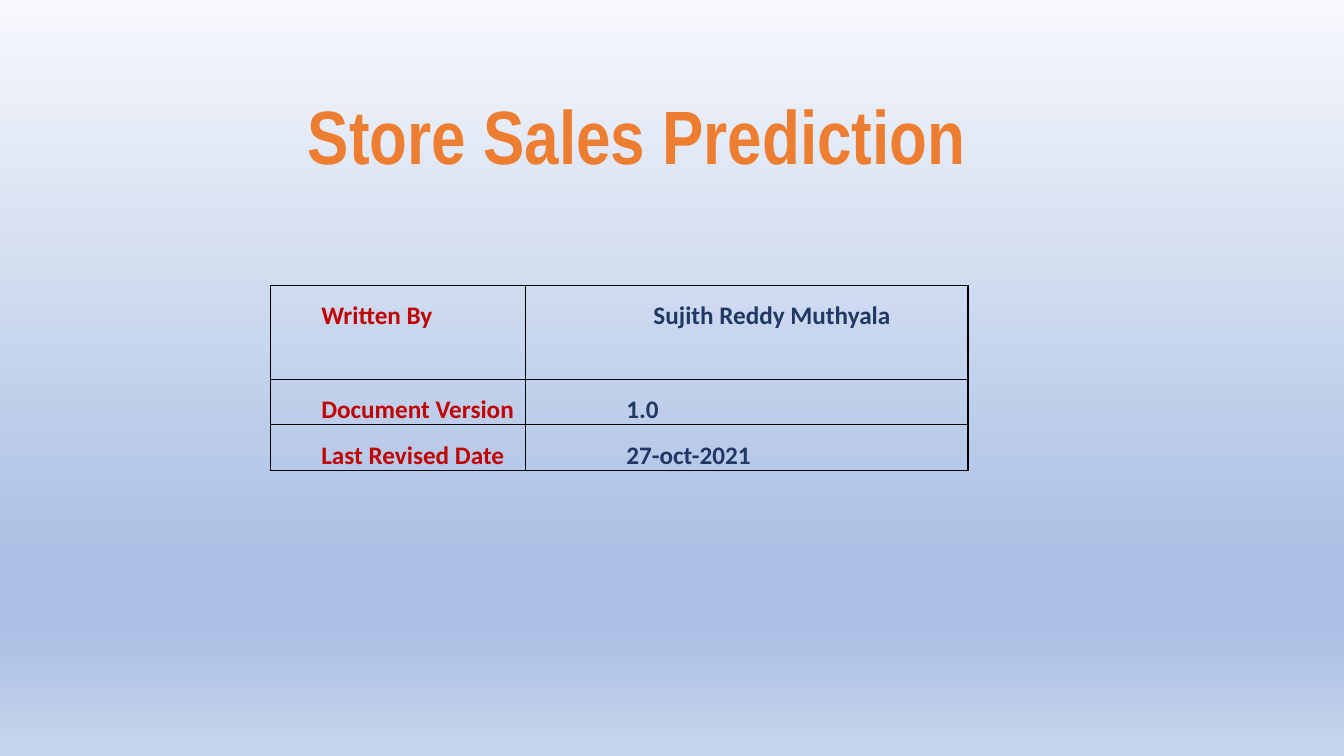
"""Build the Store Sales Prediction cover slide."""
from dataclasses import dataclass

from lxml.etree import SubElement
from pptx import Presentation
from pptx.dml.color import RGBColor
from pptx.enum.text import MSO_ANCHOR, PP_ALIGN
from pptx.oxml.ns import qn
from pptx.util import Pt


@dataclass(frozen=True)
class Theme:
    title: str = "ED7D31"
    label: str = "C00000"
    value: str = "203864"
    border: str = "000000"
    wash: tuple = ((0, "F6F8FC"), (74, "ABC0E4"), (83, "ABC0E4"), (100, "C7D5ED"))
    head: int = 54
    body: int = 18


def apply(target, values):
    for name, value in values.items():
        setattr(target, name, value)


def write(frame, text, font, size, color, layout):
    para = frame.paragraphs[0]
    apply(para, layout)
    run = para.add_run()
    run.text = text
    apply(run.font, {"name": font, "size": Pt(size), "bold": True})
    run.font.color.rgb = RGBColor.from_string(color)
    return para


theme = Theme()
deck = Presentation()
apply(deck, {"slide_width": Pt(960), "slide_height": Pt(540)})
slide = deck.slides.add_slide(deck.slide_layouts[6])

fill = slide.background.fill
fill.gradient()
fill.gradient_angle = 270
stops = slide.element.find(".//" + qn("a:gsLst"))
stops.clear()
for place, color in theme.wash:
    stop = SubElement(stops, qn("a:gs"), pos=str(place * 1000))
    SubElement(stop, qn("a:srgbClr"), val=color)

title = slide.shapes.add_textbox(Pt(95), Pt(62.5), Pt(720), Pt(70)).text_frame
apply(title, {"word_wrap": True, "vertical_anchor": MSO_ANCHOR.BOTTOM})
write(title, "Store Sales Prediction", "Arial Narrow", theme.head, theme.title,
      {"alignment": PP_ALIGN.CENTER, "line_spacing": 0.9})

rows = (
    (67, "Written By", "Sujith Reddy Muthyala", PP_ALIGN.CENTER, 36),
    (32, "Document Version", "1.0", PP_ALIGN.JUSTIFY, 72),
    (32, "Last Revised Date", "27-oct-2021", PP_ALIGN.JUSTIFY, 72),
)
table = slide.shapes.add_table(
    len(rows), 2, Pt(193.5), Pt(204), Pt(498), Pt(131)).table
apply(table, {"first_row": False, "horz_banding": False})
for column, width in zip(table.columns, (182, 316)):
    column.width = Pt(width)

sides = ("left", "right", "top", "bottom")
for row, (height, label, value, align, indent) in enumerate(rows):
    table.rows[row].height = Pt(height)
    cells = (
        (label, theme.label, PP_ALIGN.JUSTIFY, 36),
        (value, theme.value, align, indent),
    )
    for col, (text, color, side, inset) in enumerate(cells):
        cell = table.cell(row, col)
        apply(cell, {f"margin_{edge}": 0 for edge in sides})
        para = write(cell.text_frame, text, "Calibri", theme.body, color,
                     {"alignment": side, "line_spacing": 1.5,
                      "space_before": Pt(0.1)})
        props = para._p.get_or_add_pPr()
        props.set("marL", str(Pt(inset)))
        props.set("indent", "0")
        frame = cell._tc.get_or_add_tcPr()
        for edge in ("lnL", "lnR", "lnT", "lnB"):
            line = SubElement(frame, qn(f"a:{edge}"), w=str(Pt(1)))
            paint = SubElement(line, qn("a:solidFill"))
            SubElement(paint, qn("a:srgbClr"), val=theme.border)
        cell.fill.background()

deck.save("out.pptx")
